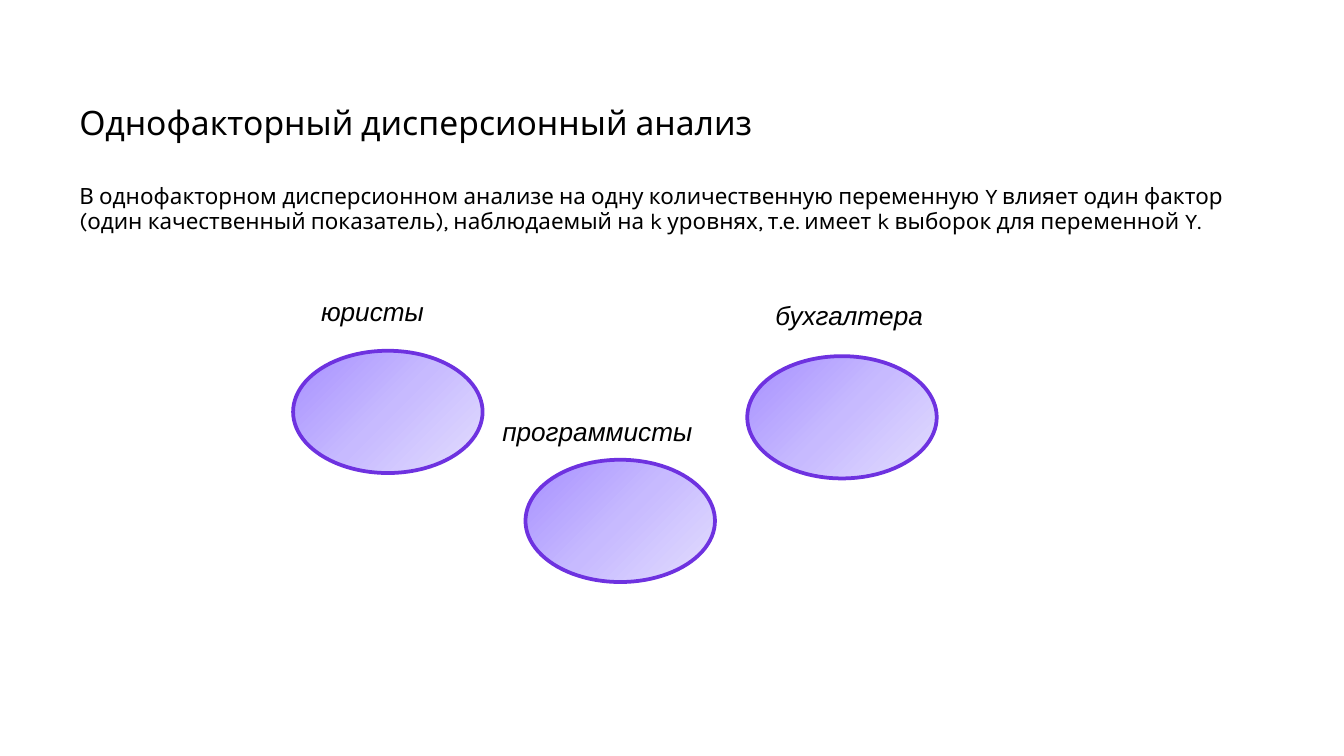
from copy import deepcopy

from pptx import Presentation
from pptx.dml.color import RGBColor
from pptx.enum.shapes import MSO_SHAPE
from pptx.enum.text import MSO_AUTO_SIZE
from pptx.util import Pt

ELLIPSE = MSO_SHAPE.OVAL
FIT_SHAPE = MSO_AUTO_SIZE.SHAPE_TO_FIT_TEXT

COLORS = {
    "text": "000000",
    "outline": "6E32E0",
    "dark": "A68FFF",
    "middle": "C7BAFF",
    "light": "E3DEFE",
}
GRADIENT = [(0, "dark"), (0.5, "middle"), (1, "light")]
ELLIPSE_SIZE = (101.5, 65.5)
LABEL_HEIGHT = 28.8

GROUPS = [
    ("программисты", (124.5, 91.5), (105, 64), 146.9),
    ("бухгалтера", (243.3, 36), (251.3, 2.2), 116.6),
    ("юристы", (0, 33.1), (7.9, 0), 85.7),
]


def color(key):
    return RGBColor.from_string(COLORS[key])


def add_text(slide, box, text, size, font_name):
    text_box = slide.shapes.add_textbox(*map(Pt, box))
    frame = text_box.text_frame
    frame.text = text
    font = frame.paragraphs[0].runs[0].font
    font.size = Pt(size)
    font.name = font_name
    font.color.rgb = color("text")
    return frame


def add_heading(slide, box, text, size):
    frame = add_text(slide, box, text, size, "Karla")
    frame.word_wrap = True
    frame.margin_left = frame.margin_right = 0
    frame.margin_top = frame.margin_bottom = 0
    frame.paragraphs[0].line_spacing = 0.9


def add_ellipse(slide, left, top):
    ellipse = slide.shapes.add_shape(ELLIPSE, *map(Pt, (left, top, *ELLIPSE_SIZE)))
    ellipse.shadow.inherit = False
    ellipse.line.color.rgb = color("outline")
    ellipse.line.width = Pt(2)
    fill = ellipse.fill
    fill.gradient()
    fill.gradient_angle = 315
    first_stop = ellipse._element.spPr.xpath(".//a:gs")[0]
    first_stop.addnext(deepcopy(first_stop))
    for stop, (position, key) in zip(fill.gradient_stops, GRADIENT):
        stop.position = position
        stop.color.rgb = color(key)


def add_samples(slide, left, top):
    for _, (x, y), _, _ in GROUPS:
        add_ellipse(slide, left + x, top + y)
    for name, _, (x, y), width in GROUPS:
        label_box = (left + x, top + y, width, LABEL_HEIGHT)
        label = add_text(slide, label_box, name, 14, "Arial")
        label.word_wrap = False
        label.auto_size = FIT_SHAPE
        label.paragraphs[0].runs[0].font.italic = True


def main():
    deck = Presentation()
    deck.slide_width = Pt(720)
    deck.slide_height = Pt(405)
    slide = deck.slides.add_slide(deck.slide_layouts[6])
    add_heading(slide, (42.5, 56.9, 635, 21.6), "Однофакторный дисперсионный анализ", 18)
    add_heading(
        slide,
        (42.5, 99.4, 635, 254.9),
        "В однофакторном дисперсионном анализе на одну количественную переменную Y "
        "влияет один фактор (один качественный показатель), наблюдаемый на k уровнях, "
        "т.е. имеет k выборок для переменной Y.",
        12,
    )
    add_samples(slide, 157, 154.8)
    deck.save("out.pptx")


if __name__ == "__main__":
    main()
